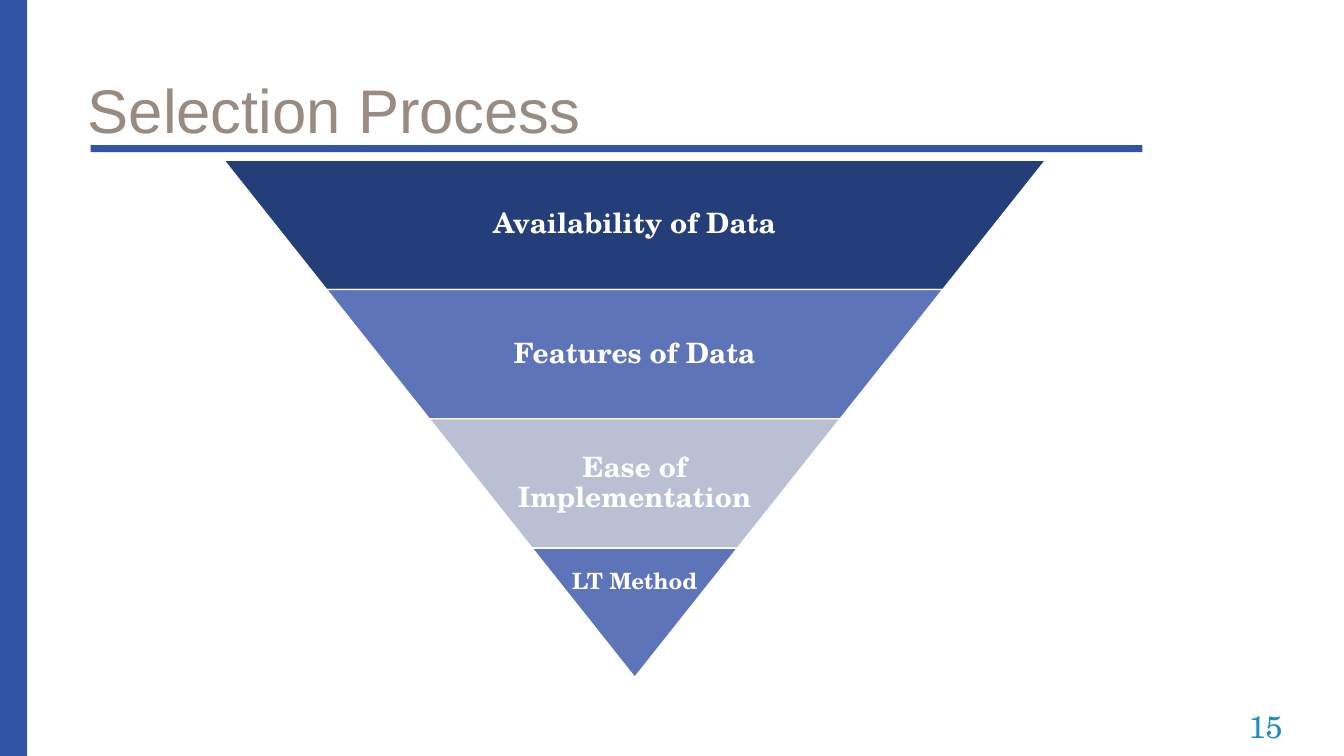
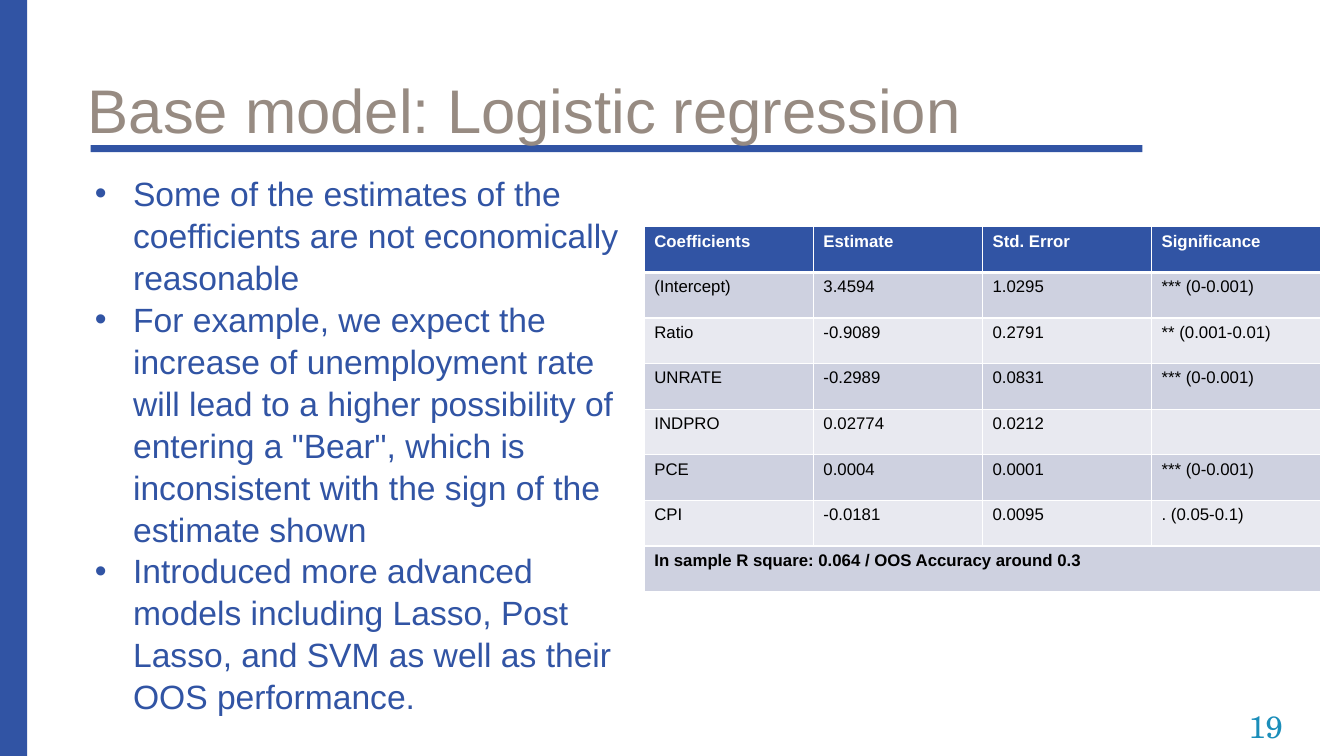
"""Build two slides: a selection funnel and a logistic regression summary."""
from lxml import etree
from pptx import Presentation
from pptx.dml.color import RGBColor
from pptx.enum.shapes import MSO_SHAPE
from pptx.enum.text import MSO_ANCHOR, MSO_AUTO_SIZE, PP_ALIGN
from pptx.oxml.ns import qn
from pptx.util import Inches, Pt

RECTANGLE = MSO_SHAPE.RECTANGLE
TRAPEZOID = MSO_SHAPE.TRAPEZOID
MIDDLE = MSO_ANCHOR.MIDDLE
NO_AUTOFIT = MSO_AUTO_SIZE.NONE
LEFT, CENTER, RIGHT = PP_ALIGN.LEFT, PP_ALIGN.CENTER, PP_ALIGN.RIGHT

SANS = "Arial"
SERIF = "TeX Gyre Schola"
COLORS = {
    "blue": "3154A4",
    "navy": "243E79",
    "mid_blue": "5E74B8",
    "pale_blue": "BABFD4",
    "band_dark": "CED1E0",
    "band_light": "E8E9F0",
    "title": "978B82",
    "number": "1B8EBA",
    "white": "FFFFFF",
    "black": "000000",
}
CONTENT_LAYOUT, TITLE_LAYOUT = 1, 5

FUNNEL_BOX = (2.22, 1.59, 8.15, 5.13)
FUNNEL_STAGES = [
    ("Availability of Data", "navy"),
    ("Features of Data", "mid_blue"),
    ("Ease of Implementation", "pale_blue"),
    ("LT Method", "mid_blue"),
]

BULLETS_BOX = (0.84, 1.73, 5.67, 5.35)
BULLETS = [
    "Some of the estimates of the coefficients are not economically reasonable",
    "For example, we expect the increase of unemployment rate will lead to a "
    "higher possibility of entering a \"Bear\", which is inconsistent with the "
    "sign of the estimate shown",
    "Introduced more advanced models including Lasso, Post Lasso, and SVM as "
    "well as their OOS performance.",
]

TABLE_BOX = (6.39, 2.25, 6.71, 3.62)
TABLE_ROWS = [
    ["Coefficients", "Estimate", "Std. Error", "Significance"],
    ["(Intercept)", "3.4594", "1.0295", "*** (0-0.001)"],
    ["Ratio", "-0.9089", "0.2791", "** (0.001-0.01)"],
    ["UNRATE", "-0.2989", "0.0831", "*** (0-0.001)"],
    ["INDPRO", "0.02774", "0.0212", ""],
    ["PCE", "0.0004", "0.0001", "*** (0-0.001)"],
    ["CPI", "-0.0181", "0.0095", ". (0.05-0.1)"],
    ["In sample R square: 0.064 / OOS Accuracy around 0.3", "", "", ""],
]


def color(name):
    """Return the named palette colour."""
    return RGBColor.from_string(COLORS[name])


def place(shape, box):
    """Move and size a shape to a box given in inches."""
    shape.left, shape.top, shape.width, shape.height = map(Inches, box)


def format_paragraph(paragraph, font_name, size, color_name, bold=False,
                     align=LEFT, spacing=1.0):
    """Set the font, alignment and spacing of a paragraph."""
    paragraph.alignment = align
    paragraph.line_spacing = spacing
    paragraph.space_before = paragraph.space_after = Pt(0)
    for run in paragraph.runs:
        run.font.name = font_name
        run.font.size = Pt(size)
        run.font.bold = bold
        run.font.color.rgb = color(color_name)


def add_label(slide, box, text, inset=0.1, **style):
    """Add a vertically centred, wrapped text box."""
    label = slide.shapes.add_textbox(*map(Inches, box))
    frame = label.text_frame
    frame.word_wrap = True
    frame.vertical_anchor = MIDDLE
    frame.margin_left = frame.margin_right = Inches(inset)
    frame.margin_top = frame.margin_bottom = Inches(min(inset, 0.05))
    frame.text = text
    format_paragraph(frame.paragraphs[0], **style)


def add_filled(slide, kind, box, fill_name):
    """Add a plain filled preset shape without line or shadow."""
    shape = slide.shapes.add_shape(kind, *map(Inches, box))
    shape.shadow.inherit = False
    shape.fill.solid()
    shape.fill.fore_color.rgb = color(fill_name)
    shape.line.fill.background()
    return shape


def add_base_slide(presentation, layout_index, title, number):
    """Add a slide with the shared bands, title and slide number."""
    slide = presentation.slides.add_slide(
        presentation.slide_layouts[layout_index])
    for box in [(0, 0, 0.27, 7.5), (0.9, 1.44, 10.43, 0.07)]:
        band = add_filled(slide, RECTANGLE, box, "blue")
        slide.shapes.element.insert(2, band.element)
    title_shape = slide.shapes.title
    place(title_shape, (0.77, 0.4, 11.5, 1.45))
    frame = title_shape.text_frame
    frame.text = title
    frame.vertical_anchor = MIDDLE
    frame.auto_size = NO_AUTOFIT
    format_paragraph(frame.paragraphs[0], SANS, 44, "title", spacing=0.9)
    add_label(slide, (12.07, 7.1, 0.75, 0.21), str(number), font_name=SERIF,
              size=22, color_name="number", align=RIGHT)
    return slide


def add_funnel(slide, box, stages):
    """Draw an inverted triangle cut into equally high labelled stages."""
    left, top, width, height = box
    stage_height = height / len(stages)
    slope = width / len(stages) / 2
    for index, (text, fill_name) in enumerate(stages):
        is_tip = index == len(stages) - 1
        stage_left = left + index * slope
        stage_top = top + index * stage_height
        stage_width = width - 2 * index * slope
        stage = add_filled(slide, TRAPEZOID,
                           (stage_left, stage_top, stage_width, stage_height),
                           fill_name)
        stage.rotation = 180
        stage.adjustments[0] = slope / stage_height
        stage.line.color.rgb = color("white")
        stage.line.width = Pt(1)
        label_width = stage_width * (1 if is_tip else 0.65)
        label_left = stage_left + (stage_width - label_width) / 2
        label_height = 0.68 if is_tip else stage_height
        add_label(slide, (label_left, stage_top, label_width, label_height),
                  text, inset=0.03, font_name=SERIF, size=16 if is_tip else 20,
                  color_name="white", bold=True, align=CENTER, spacing=0.9)


def add_bullets(slide, box, items):
    """Fill the body placeholder with a bulleted list."""
    body = slide.placeholders[1]
    place(body, box)
    frame = body.text_frame
    frame.text = "\n".join(items)
    frame.vertical_anchor = MIDDLE
    frame.auto_size = NO_AUTOFIT
    for paragraph in frame.paragraphs:
        format_paragraph(paragraph, SANS, 24, "blue", spacing=1.04)
        properties = paragraph._p.get_or_add_pPr()
        properties.set("marL", str(Inches(0.38)))
        properties.set("indent", str(Inches(-0.38)))
        etree.SubElement(properties, qn("a:buChar"), char="•")


def set_borders(cell, bottom_width):
    """Give a cell white borders, with its own bottom width."""
    properties = cell._tc.get_or_add_tcPr()
    widths = {"a:lnL": 1, "a:lnR": 1, "a:lnT": 1, "a:lnB": bottom_width}
    for position, (tag, width) in enumerate(widths.items()):
        line = etree.Element(qn(tag), w=str(Pt(width)))
        fill = etree.SubElement(line, qn("a:solidFill"))
        etree.SubElement(fill, qn("a:srgbClr"), val=COLORS["white"])
        properties.insert(position, line)


def add_coefficient_table(slide, box, rows):
    """Add the banded table with a header and a merged closing row."""
    last = len(rows) - 1
    columns = len(rows[0])
    table = slide.shapes.add_table(
        len(rows), columns, *map(Inches, box)).table
    for row_index, values in enumerate(rows):
        is_header = row_index == 0
        band = "band_dark" if row_index % 2 else "band_light"
        for column_index, text in enumerate(values):
            cell = table.cell(row_index, column_index)
            cell.text = text
            cell.fill.solid()
            cell.fill.fore_color.rgb = color("blue" if is_header else band)
            set_borders(cell, 3 if is_header else 1)
            format_paragraph(cell.text_frame.paragraphs[0], SANS, 12,
                             "white" if is_header else "black",
                             bold=row_index in (0, last))
    table.cell(last, 0).merge(table.cell(last, columns - 1))


def main():
    """Build and save the presentation."""
    presentation = Presentation()
    presentation.slide_width = Inches(13.33)
    presentation.slide_height = Inches(7.5)

    selection = add_base_slide(
        presentation, TITLE_LAYOUT, "Selection Process", 15)
    add_funnel(selection, FUNNEL_BOX, FUNNEL_STAGES)

    regression = add_base_slide(
        presentation, CONTENT_LAYOUT, "Base model: Logistic regression", 19)
    add_coefficient_table(regression, TABLE_BOX, TABLE_ROWS)
    add_bullets(regression, BULLETS_BOX, BULLETS)

    presentation.save("out.pptx")


if __name__ == "__main__":
    main()
